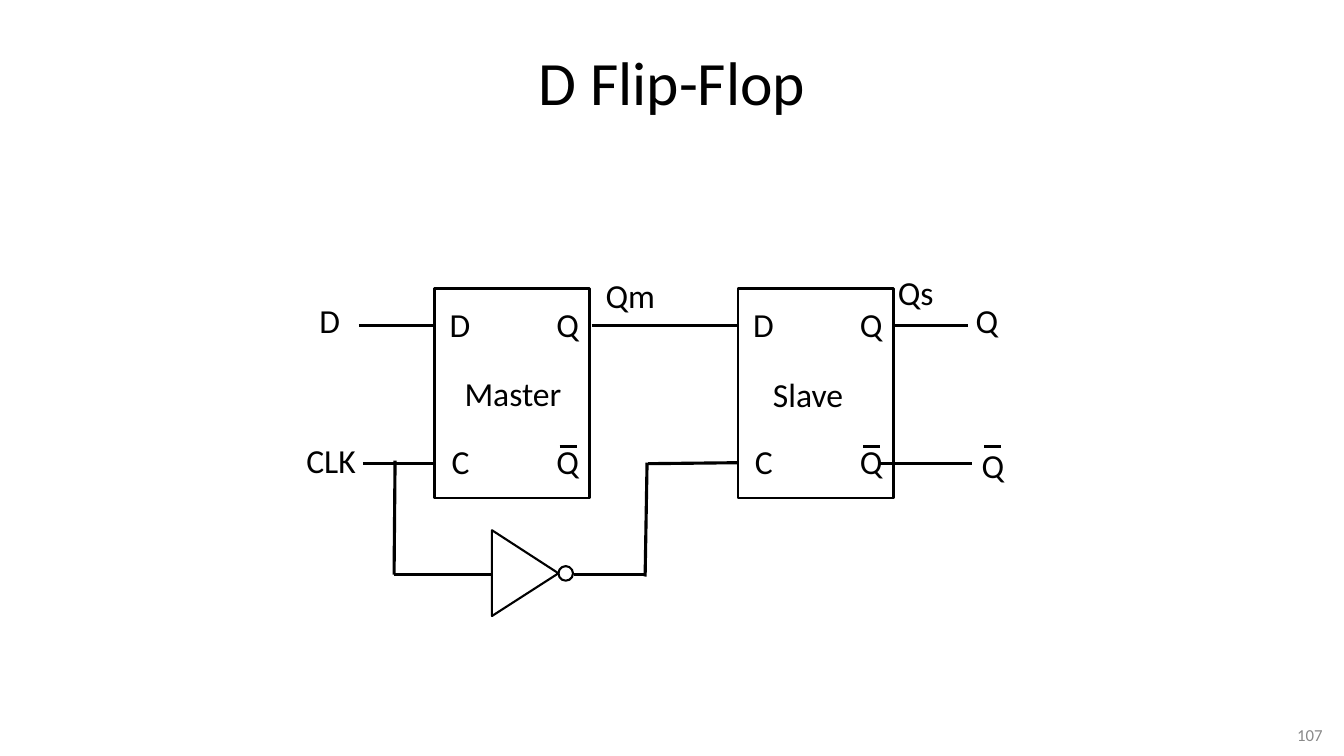
from lxml import etree
from pptx import Presentation
from pptx.dml.color import RGBColor
from pptx.enum.shapes import MSO_CONNECTOR, MSO_SHAPE
from pptx.enum.text import MSO_ANCHOR, PP_ALIGN
from pptx.oxml.ns import qn
from pptx.util import Pt

STRAIGHT = MSO_CONNECTOR.STRAIGHT
RECTANGLE, OVAL = MSO_SHAPE.RECTANGLE, MSO_SHAPE.OVAL
TOP, MIDDLE = MSO_ANCHOR.TOP, MSO_ANCHOR.MIDDLE
LEFT, CENTER, RIGHT = PP_ALIGN.LEFT, PP_ALIGN.CENTER, PP_ALIGN.RIGHT

BLACK = RGBColor(0x00, 0x00, 0x00)
WHITE = RGBColor(0xFF, 0xFF, 0xFF)
GREY = RGBColor(0x89, 0x89, 0x89)
FONT = "Calibri"

LATCH_TOP, LATCH_W, LATCH_H = 206, 110.9, 149.8
LABEL_H = 36
D_Y, CLOCK_Y, INVERTER_Y = 232.6, 330.8, 410.4
BAR_Y, BAR_W = 319, 12.4

WIRES = [
    (282.2, 329, 281.5, INVERTER_Y),
    (256.3, D_Y, 313.2, D_Y),
    (259.2, CLOCK_Y, 311, CLOCK_Y),
    (422.6, D_Y, 474.5, D_Y),
    (473, D_Y, 529.9, D_Y),
    (463, 331.2, 527.8, 330.5),
    (638, 331.2, 694.1, 331.2),
    (639.4, D_Y, 691.2, D_Y),
    (281.5, INVERTER_Y, 351.4, INVERTER_Y),
    (409.7, INVERTER_Y, 461.5, INVERTER_Y),
    (462.2, 330.5, 460.8, 411.8),
]

SIGNALS = [
    ("D", 221, 211, 29.5, False),
    ("CLK", 211.7, 311, 56.2, True),
    ("Qm", 425.5, 193, 50.4, False),
    ("Qs", 634.3, 190.8, 40.3, False),
    ("Q", 689.8, 211, 31, False),
    ("Q", 694.1, 313.9, 31, False),
    ("Master", 324.7, 262.8, 87.1, True),
    ("Slave", 545, 263.5, 87.1, True),
]

PINS = [
    ("D", 3.6, 7.2, 29.5),
    ("C", 5, 105.4, 27.4),
    ("Q", 79.9, 7.2, 31),
    ("Q", 79.9, 105.4, 31),
]


def style_text(s, text, size, color, align, anchor):
    tf = s.text_frame
    tf.vertical_anchor = anchor
    p = tf.paragraphs[0]
    p.text = text
    p.alignment = align
    p.font.name = FONT
    p.font.size = Pt(size)
    p.font.color.rgb = color


def add_label(sp, text, x, y, w, wrap=False):
    s = sp.add_textbox(Pt(x), Pt(y), Pt(w), Pt(LABEL_H))
    s.text_frame.word_wrap = wrap
    style_text(s, text, 24, BLACK, LEFT, TOP)


def add_wire(sp, x1, y1, x2, y2):
    c = sp.add_connector(STRAIGHT, Pt(x1), Pt(y1), Pt(x2), Pt(y2))
    c.line.color.rgb = BLACK
    c.line.width = Pt(2.25)
    etree.SubElement(c._element.spPr, qn("a:effectLst"))


def add_bar(sp, x):
    add_wire(sp, x, BAR_Y, x + BAR_W, BAR_Y)


def outline(s, width):
    s.shadow.inherit = False
    s.line.color.rgb = BLACK
    s.line.width = Pt(width)


def add_latch(sp, x):
    s = sp.add_shape(RECTANGLE, Pt(x), Pt(LATCH_TOP), Pt(LATCH_W), Pt(LATCH_H))
    s.fill.solid()
    s.fill.fore_color.rgb = WHITE
    outline(s, 2)
    for text, dx, dy, w in PINS:
        add_label(sp, text, x + dx, LATCH_TOP + dy, w)
    add_bar(sp, x + 89.3)


def add_inverter(sp):
    builder = sp.build_freeform(Pt(351.4), Pt(378.7))
    builder.add_line_segments([(Pt(398.9), Pt(409.5)), (Pt(351.4), Pt(440))])
    triangle = builder.convert_to_shape()
    bubble = sp.add_shape(OVAL, Pt(398.9), Pt(404.4), Pt(10.4), Pt(10.4))
    for s in (triangle, bubble):
        s.fill.background()
        outline(s, 1.5)


def add_title(slide, text):
    s = slide.shapes.title
    s.left, s.top, s.width, s.height = Pt(48), Pt(21.6), Pt(864), Pt(72.7)
    style_text(s, text, 44, BLACK, CENTER, MIDDLE)


def add_page_number(sp, text):
    s = sp.add_textbox(Pt(848.9), Pt(514.1), Pt(103), Pt(20.9))
    s.text_frame.word_wrap = True
    style_text(s, text, 12, GREY, RIGHT, MIDDLE)


def main():
    prs = Presentation()
    prs.slide_width, prs.slide_height = Pt(960), Pt(540)
    slide = prs.slides.add_slide(prs.slide_layouts[5])
    sp = slide.shapes
    add_title(slide, "D Flip-Flop")
    for wire in WIRES:
        add_wire(sp, *wire)
    for x in (310.5, 527.2):
        add_latch(sp, x)
    add_inverter(sp)
    for signal in SIGNALS:
        add_label(sp, *signal)
    add_wire(sp, 627.8, 331.2, 640.8, 331.2)
    add_bar(sp, 702.9)
    add_page_number(sp, "107")
    prs.save("out.pptx")


if __name__ == "__main__":
    main()
